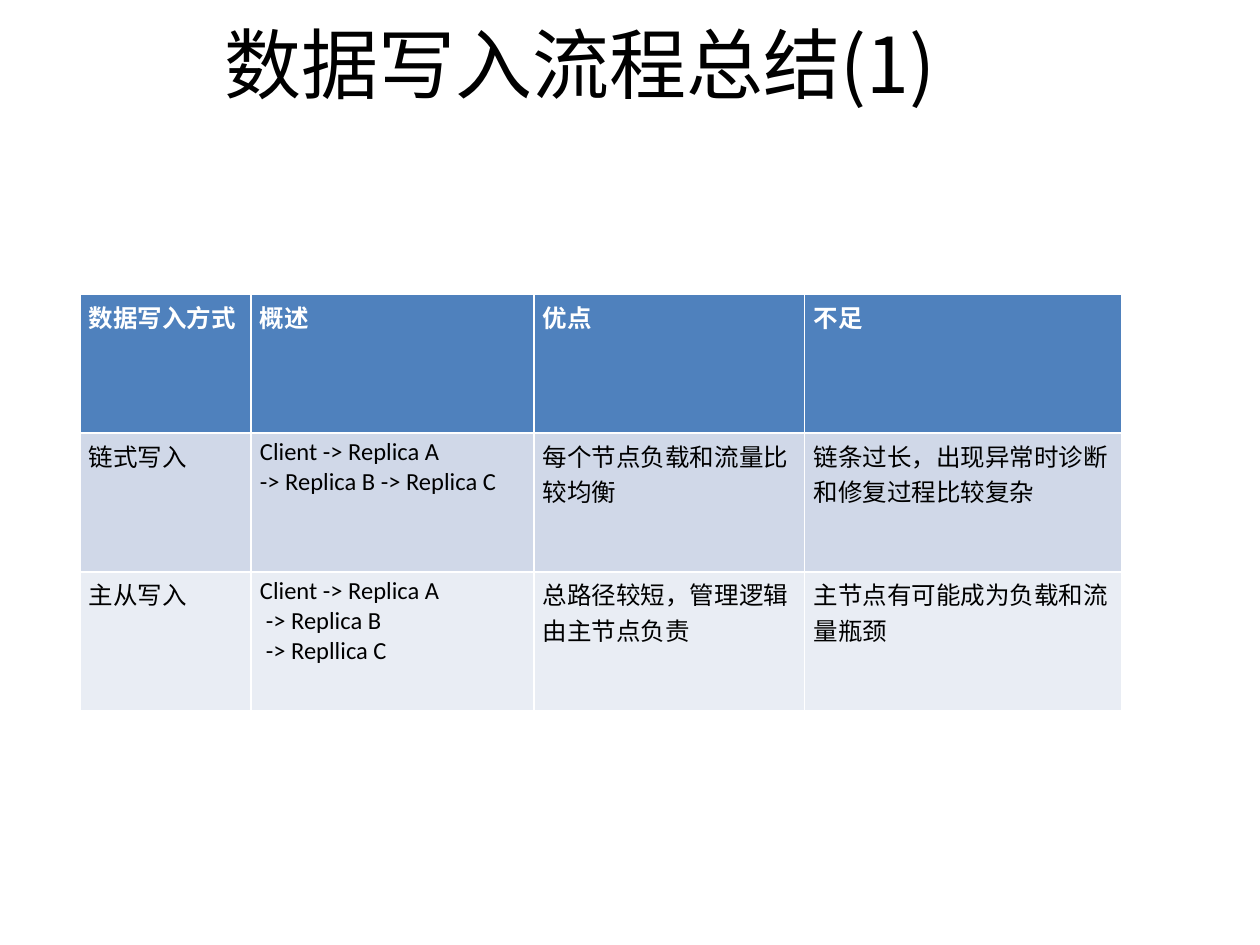
from lxml.etree import SubElement
from pptx import Presentation
from pptx.dml.color import RGBColor
from pptx.enum.text import MSO_ANCHOR, MSO_AUTO_SIZE, PP_ALIGN
from pptx.oxml.ns import qn
from pptx.util import Cm, Pt

COLORS = {
    "ink": "000000",
    "header_text": "FFFFFF",
    "header": "4F81BD",
    "band_dark": "D0D8E8",
    "band_light": "E9EDF4",
}
CHINESE_FONT = "Noto Sans CJK SC"
COLUMN_WIDTHS = (3.45, 5.7, 5.46, 6.4)
ROW_HEIGHT = 2.8
HEADINGS = ("数据写入方式", "概述", "优点", "不足")
CHAIN_WRITE = (
    "链式写入",
    "Client -> Replica A\n-> Replica B -> Replica C",
    "每个节点负载和流量比较均衡",
    "链条过长，出现异常时诊断和修复过程比较复杂",
)
PRIMARY_WRITE = (
    "主从写入",
    "Client -> Replica A\n-> Replica B\n-> Repllica C",
    "总路径较短，管理逻辑由主节点负责",
    "主节点有可能成为负载和流量瓶颈",
)


def write_text(frame, text, size=14, font="Calibri", color="ink", bold=False,
               align=PP_ALIGN.LEFT, line_spacing=None, step_indent=0):
    frame.word_wrap = True
    for number, line in enumerate(text.split("\n")):
        paragraph = frame.add_paragraph() if number else frame.paragraphs[0]
        paragraph.alignment = align
        paragraph.line_spacing = line_spacing
        if number and step_indent:
            paragraph._p.get_or_add_pPr().set("marL", str(Cm(step_indent)))
        run = paragraph.add_run()
        run.text = line
        run.font.size = Pt(size)
        run.font.bold = bold
        run.font.name = font
        run.font.color.rgb = RGBColor.from_string(COLORS[color])
        east_asian = SubElement(run._r.get_or_add_rPr(), qn("a:ea"))
        east_asian.set("typeface", CHINESE_FONT)


def add_title(slide, text):
    title = slide.shapes.title
    title.left, title.top = Cm(0.69), Cm(0.41)
    title.width, title.height = Cm(22), Cm(1.55)
    frame = title.text_frame
    frame.auto_size = MSO_AUTO_SIZE.NONE
    frame.vertical_anchor = MSO_ANCHOR.TOP
    write_text(frame, text, size=44, font=CHINESE_FONT,
               align=PP_ALIGN.CENTER, line_spacing=0.9)


def fill_row(cells, texts, fill, **text_format):
    for cell, text in zip(cells, texts):
        cell.fill.solid()
        cell.fill.fore_color.rgb = RGBColor.from_string(COLORS[fill])
        cell.margin_left = cell.margin_right = Cm(0.18)
        cell.margin_top = cell.margin_bottom = Cm(0.09)
        write_text(cell.text_frame, text, **text_format)


def add_comparison(slide):
    comparison = slide.shapes.add_table(
        3, len(HEADINGS), Cm(1.61), Cm(5.93),
        Cm(sum(COLUMN_WIDTHS)), Cm(3 * ROW_HEIGHT)).table
    for column, width in zip(comparison.columns, COLUMN_WIDTHS):
        column.width = Cm(width)
    for row in comparison.rows:
        row.height = Cm(ROW_HEIGHT)
    header, chain, primary = comparison.rows
    fill_row(header.cells, HEADINGS, "header", color="header_text", bold=True)
    fill_row(chain.cells, CHAIN_WRITE, "band_dark")
    fill_row(primary.cells, PRIMARY_WRITE, "band_light", step_indent=0.12)


def main():
    presentation = Presentation()
    presentation.slide_width, presentation.slide_height = Cm(25.4), Cm(19.05)
    slide = presentation.slides.add_slide(presentation.slide_layouts[5])
    add_title(slide, "数据写入流程总结(1)")
    add_comparison(slide)
    presentation.save("out.pptx")


if __name__ == "__main__":
    main()
